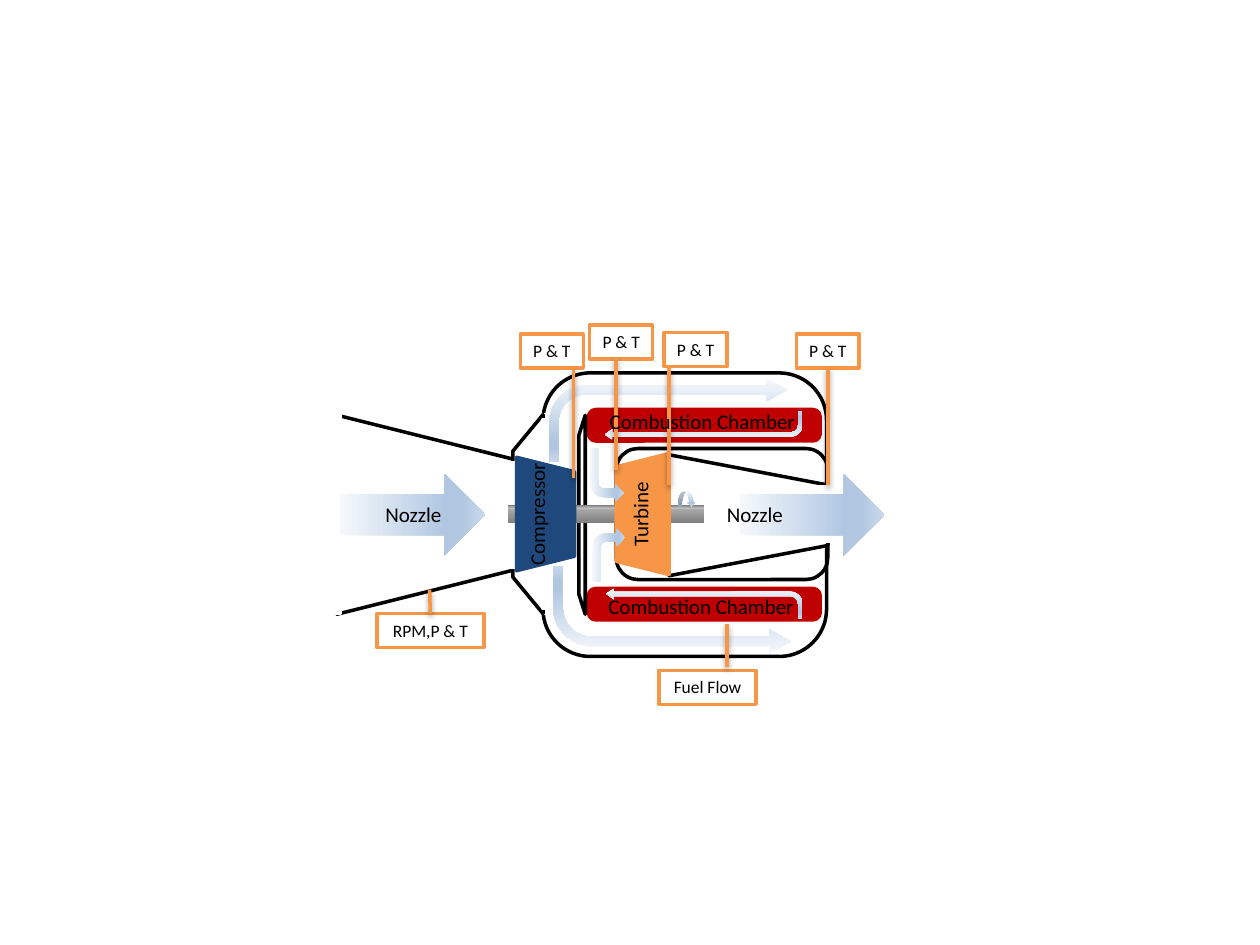
from lxml.etree import SubElement
from pptx import Presentation
from pptx.dml.color import RGBColor
from pptx.enum.shapes import MSO_CONNECTOR, MSO_SHAPE
from pptx.enum.text import MSO_ANCHOR, MSO_AUTO_SIZE, PP_ALIGN
from pptx.oxml.ns import qn
from pptx.util import Emu, Pt

PX = 9144  # EMU in one px, 100 px to the inch

BLACK = RGBColor(0x00, 0x00, 0x00)
WHITE = RGBColor(0xFF, 0xFF, 0xFF)
RED = RGBColor(0xC0, 0x00, 0x00)
ORANGE = RGBColor(0xF7, 0x96, 0x46)
NAVY = RGBColor(0x1F, 0x49, 0x7D)
PALE = RGBColor(0xF6, 0xF9, 0xFC)
BLUE = RGBColor(0xB0, 0xC6, 0xE1)
LIGHT_BLUE = RGBColor(0xCA, 0xD9, 0xEB)
GREY = RGBColor(0x80, 0x80, 0x80)
MID_GREY = RGBColor(0xA6, 0xA6, 0xA6)
LIGHT_GREY = RGBColor(0xBF, 0xBF, 0xBF)

# Gradient stops: position in percent, colour
AIR = ((0, PALE), (74, BLUE), (83, BLUE), (100, LIGHT_BLUE))
STEEL = ((0, GREY), (74, MID_GREY), (83, LIGHT_GREY), (100, GREY))

DUCT_BEND = (0.11, 0.14, 0.25, 0.44)
CHAMBER_BEND = (0.15, 0.18, 0.25, 0.42)


class EngineDiagram:
    font = "Calibri"
    line_width = Pt(2)

    def __init__(self, page):
        self.page = page

    def shape(self, kind, at, fill=None, line=None, turn=0, flip=False, adjust=()):
        shape = self.page.shapes.add_shape(kind, *(Emu(n * PX) for n in at))
        shape.shadow.inherit = False
        shape.rotation = turn
        if flip:
            shape.element.spPr.find(qn("a:xfrm")).set("flipV", "1")
        for index, value in enumerate(adjust):
            shape.adjustments[index] = value
        if fill is None:
            shape.fill.background()
        else:
            shape.fill.solid()
            shape.fill.fore_color.rgb = fill
        if line is None:
            shape.line.fill.background()
        else:
            shape.line.color.rgb = line
            shape.line.width = self.line_width
        return shape

    def gradient(self, kind, at, stops=AIR, angle=90, **options):
        shape = self.shape(kind, at, **options)
        shape.fill.gradient()
        shape.fill.gradient_angle = -angle % 360
        stop_list = shape.element.spPr.find(qn("a:gradFill")).find(qn("a:gsLst"))
        for old_stop in list(stop_list):
            stop_list.remove(old_stop)
        for position, colour in stops:
            stop = SubElement(stop_list, qn("a:gs"), pos=str(position * 1000))
            SubElement(stop, qn("a:srgbClr"), val=str(colour))

    def mask(self, *at, turn=0):
        self.shape(MSO_SHAPE.RECTANGLE, at, WHITE, WHITE, turn)

    def add_text(self, box, text, size, align):
        frame = box.text_frame
        frame.word_wrap = True
        frame.auto_size = MSO_AUTO_SIZE.SHAPE_TO_FIT_TEXT
        frame.vertical_anchor = MSO_ANCHOR.TOP
        para = frame.paragraphs[0]
        para.alignment = align
        span = para.add_run()
        span.text = text
        span.font.name = self.font
        span.font.size = Pt(size)
        span.font.color.rgb = BLACK

    def label(self, text, at, turn=0, align=PP_ALIGN.LEFT):
        box = self.page.shapes.add_textbox(*(Emu(n * PX) for n in at))
        box.rotation = turn
        self.add_text(box, text, 12, align)

    def callout(self, text, at, start, end, side=None):
        """Sensor box with its leader; side is the box side the leader joins."""
        box = self.shape(MSO_SHAPE.RECTANGLE, at, WHITE, ORANGE)
        self.add_text(box, text, 10, PP_ALIGN.CENTER)
        leader = self.page.shapes.add_connector(
            MSO_CONNECTOR.STRAIGHT, *(Emu(n * PX) for n in start + end))
        if side is not None:
            leader.begin_connect(box, side)
        leader.line.color.rgb = ORANGE
        leader.line.width = self.line_width
        effects = SubElement(leader.element.spPr, qn("a:effectLst"))
        shadow = SubElement(effects, qn("a:outerShdw"), blurRad="40000",
                            dist="20000", dir="5400000", rotWithShape="0")
        colour = SubElement(shadow, qn("a:srgbClr"), val=str(BLACK))
        SubElement(colour, qn("a:alpha"), val="38000")


def main():
    deck = Presentation()
    deck.slide_width, deck.slide_height = Emu(1000 * PX), Emu(750 * PX)
    page = deck.slides.add_slide(deck.slide_layouts[6])
    engine = EngineDiagram(page)
    trapezoid, rounded = MSO_SHAPE.TRAPEZOID, MSO_SHAPE.ROUNDED_RECTANGLE
    bent = MSO_SHAPE.BENT_ARROW

    # Inlet, casing and exhaust cone
    engine.shape(trapezoid, (259, 338, 158, 141), line=BLACK, turn=90)
    engine.shape(rounded, (431, 296, 225, 225), line=BLACK)
    engine.mask(408, 329, 53, 158)
    engine.shape(trapezoid, (546, 346, 96, 126), WHITE, BLACK, turn=90)

    # Combustion chambers
    for top in (325, 467):
        engine.shape(rounded, (467, top, 184, 25), RED, RED, adjust=(0.23,))

    # Diffuser and inner liner
    engine.shape(trapezoid, (340, 396, 158, 24), line=BLACK, turn=90,
                 flip=True, adjust=(1.21,))
    engine.mask(359, 367, 53, 83)
    engine.shape(trapezoid, (383, 406, 158, 5), line=BLACK, turn=90,
                 flip=True, adjust=(3.13,))
    engine.shape(rounded, (489, 356, 168, 104), line=BLACK)

    # Shaft, turbine and compressor, with open inlet and outlet
    engine.gradient(MSO_SHAPE.RECTANGLE, (403, 401, 156, 14), STEEL, turn=180)
    engine.shape(trapezoid, (462, 387, 96, 42), ORANGE, ORANGE, turn=270)
    engine.mask(431, 333, 21, 150)
    engine.shape(trapezoid, (388, 385, 90, 46), NAVY, NAVY, turn=90)
    engine.mask(217, 329, 53, 158)
    engine.mask(631, 386, 44, 44, turn=90)

    # Air flow
    engine.gradient(bent, (436, 300, 189, 67), adjust=DUCT_BEND)
    engine.gradient(bent, (439, 449, 189, 70), flip=True, adjust=DUCT_BEND)
    engine.gradient(bent, (480, 326, 157, 23), turn=180, adjust=CHAMBER_BEND)
    engine.gradient(bent, (481, 467, 156, 24), turn=180, flip=True,
                    adjust=CHAMBER_BEND)
    engine.gradient(MSO_SHAPE.RIGHT_ARROW, (270, 376, 115, 65), angle=0)
    engine.gradient(bent, (470, 420, 26, 42), angle=0)
    engine.gradient(bent, (468, 356, 27, 42), angle=0, flip=True)
    engine.gradient(MSO_SHAPE.CURVED_DOWN_ARROW, (538, 390, 14, 12))
    engine.gradient(MSO_SHAPE.RIGHT_ARROW, (587, 376, 115, 65), angle=0)

    # Part names
    for left in (296, 567):
        engine.label("Nozzle", (left, 393, 74, 30))
    for text, left in (("Compressor", 375), ("Turbine", 457)):
        engine.label(text, (left, 393, 102, 30), 270, PP_ALIGN.CENTER)
    engine.label("Combustion Chamber", (473, 466, 194, 30))

    # Sensor callouts
    engine.callout("RPM,P & T", (299, 487, 85, 27), (341, 487), (341, 468), side=0)
    engine.callout("P & T", (413, 265, 50, 27), (455, 292), (455, 379))
    engine.callout("P & T", (632, 265, 50, 27), (657, 292), (657, 385), side=2)
    engine.callout("P & T", (468, 258, 50, 27), (489, 284), (489, 373))
    engine.callout("P & T", (527, 264, 50, 27), (531, 292), (531, 385))
    engine.label("Combustion Chamber", (474, 319, 194, 30))
    engine.callout("Fuel Flow", (523, 532, 77, 27), (577, 529), (577, 495))

    deck.save("out.pptx")


if __name__ == "__main__":
    main()
